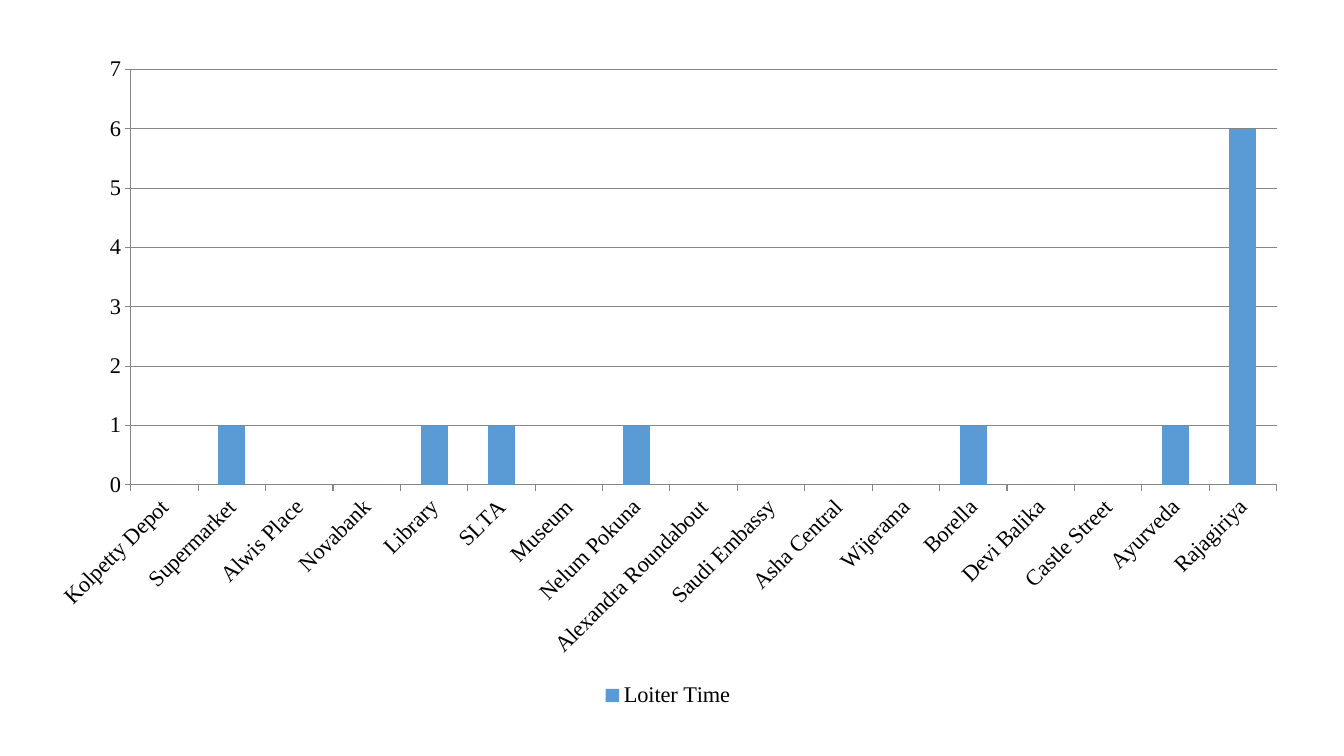
from pptx import Presentation
from pptx import util as u
from pptx.chart.data import CategoryChartData
from pptx.dml.color import RGBColor
from pptx.enum import chart as ch

BLACK = RGBColor(0x00, 0x00, 0x00)
GREY = RGBColor(0x86, 0x86, 0x86)
BLUE = RGBColor(0x5B, 0x9B, 0xD5)

LOITER_TIMES = [
    ("Kolpetty Depot", 0),
    ("Supermarket", 1),
    ("Alwis Place", 0),
    ("Novabank", 0),
    ("Library", 1),
    ("SLTA", 1),
    ("Museum", 0),
    ("Nelum Pokuna", 1),
    ("Alexandra Roundabout", 0),
    ("Saudi Embassy", None),
    ("Asha Central", 0),
    ("Wijerama", 0),
    ("Borella", 1),
    ("Devi Balika", 0),
    ("Castle Street", 0),
    ("Ayurveda", 1),
    ("Rajagiriya", 6),
]


class Deck:
    font_name = "Times New Roman"
    font_size = u.Pt(16)

    def __init__(self, width, height):
        self.prs = Presentation()
        self.prs.slide_width = u.Pt(width)
        self.prs.slide_height = u.Pt(height)
        self.s = None

    def blank_slide(self):
        self.s = self.prs.slides.add_slide(self.prs.slide_layouts[6])

    def style_axis(self, axis):
        axis.major_tick_mark = ch.XL_TICK_MARK.OUTSIDE
        axis.minor_tick_mark = ch.XL_TICK_MARK.NONE
        axis.format.line.color.rgb = GREY
        axis.format.line.width = u.Pt(0.75)

    def column_chart(self, name, points, color, left, top, width, height):
        data = CategoryChartData()
        data.categories = [stop for stop, _ in points]
        data.add_series(name, [value for _, value in points])
        chart = self.s.shapes.add_chart(
            ch.XL_CHART_TYPE.COLUMN_CLUSTERED,
            u.Pt(left), u.Pt(top), u.Pt(width), u.Pt(height), data).chart
        chart.has_title = False
        chart.font.name = self.font_name
        chart.font.size = self.font_size
        chart.font.color.rgb = BLACK

        chart.has_legend = True
        chart.legend.position = ch.XL_LEGEND_POSITION.BOTTOM
        chart.legend.include_in_layout = False

        plot = chart.plots[0]
        plot.vary_by_categories = False
        plot.gap_width = 150
        fill = plot.series[0].format.fill
        fill.solid()
        fill.fore_color.rgb = color

        self.style_axis(chart.category_axis)
        axis = chart.value_axis
        self.style_axis(axis)
        axis.minimum_scale, axis.maximum_scale, axis.major_unit = 0, 7, 1
        axis.has_major_gridlines = True
        axis.major_gridlines.format.line.color.rgb = GREY
        axis.major_gridlines.format.line.width = u.Pt(0.75)
        return chart


def main():
    deck = Deck(960, 540)
    deck.blank_slide()
    deck.column_chart("Loiter Time", LOITER_TIMES, BLUE, 24, 31, 906, 478)
    deck.prs.save("out.pptx")


if __name__ == "__main__":
    main()
